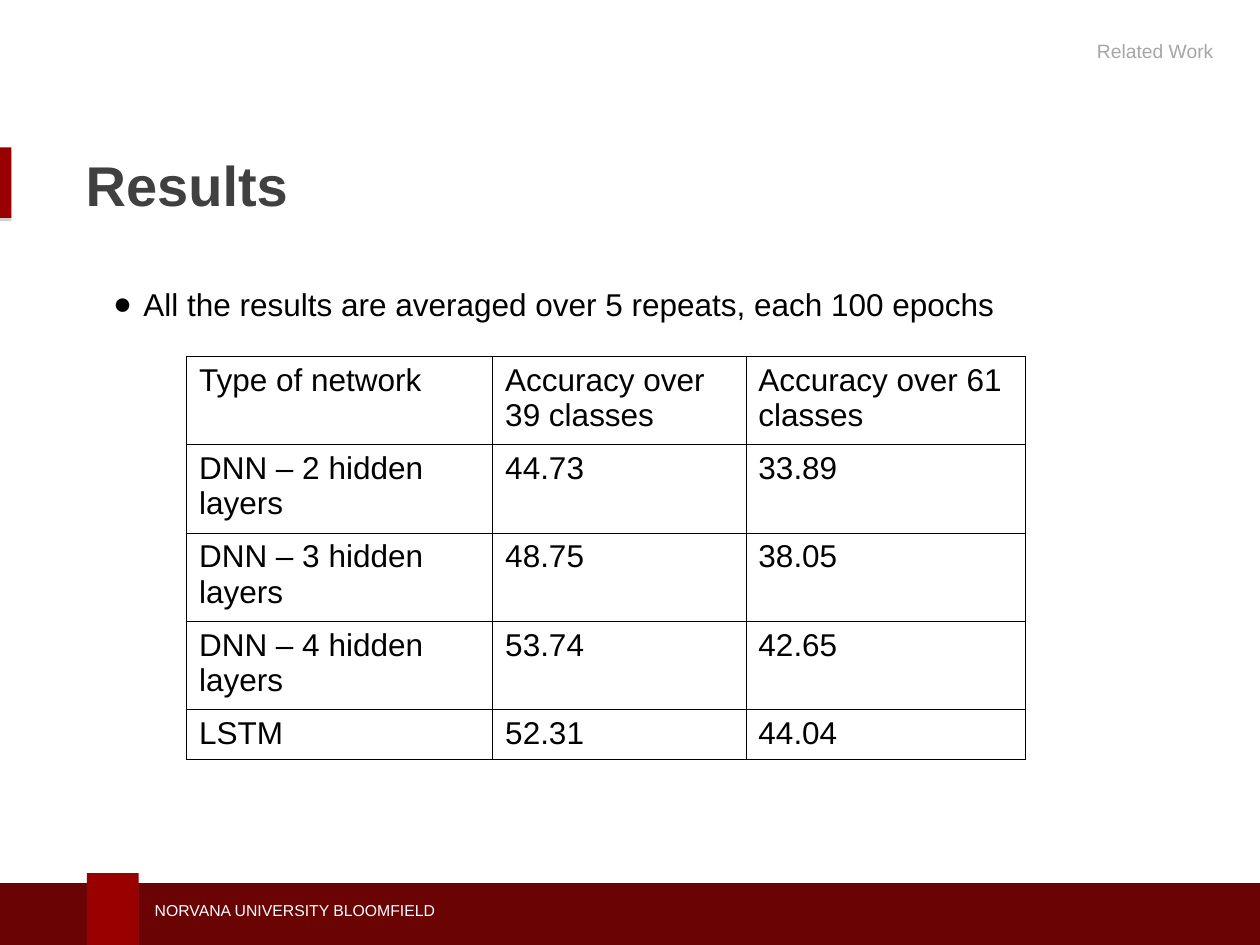
from typing import NamedTuple

from lxml import etree
from pptx import Presentation
from pptx import util as u
from pptx.dml.color import RGBColor
from pptx.enum import shapes, text
from pptx.oxml import parse_xml
from pptx.oxml.ns import nsdecls, qn

RED = RGBColor(0x99, 0x00, 0x00)
MAROON = RGBColor(0x69, 0x03, 0x04)
CHARCOAL = RGBColor(0x40, 0x40, 0x41)
GRAY = RGBColor(0xA6, 0xA6, 0xA6)
BLACK = RGBColor(0, 0, 0)
WHITE = RGBColor(255, 255, 255)
FONT = "Arial"


class Box(NamedTuple):
    left: float
    top: float
    width: float
    height: float

    def inches(self) -> list:
        return [u.Inches(n) for n in self]


class Bar(NamedTuple):
    box: Box
    fill: RGBColor


class Label(NamedTuple):
    words: str
    box: Box
    size: float
    color: RGBColor
    frame: dict = {}
    para: dict = {}
    bold: bool = False


BARS = [
    Bar(Box(0, 1.17, 0.09, 0.56), RED),
    Bar(Box(-0.03, 7.01, 10.08, 0.49), MAROON),
    Bar(Box(0.69, 6.93, 0.41, 0.57), RED),
]
MIDDLE = {"vertical_anchor": text.MSO_ANCHOR.MIDDLE}
TITLE = Label("Results", Box(0.58, 1.11, 8.75, 0.7), 32, CHARCOAL,
              MIDDLE, {"alignment": text.PP_ALIGN.LEFT}, True)
FOOTER = Label("NORVANA UNIVERSITY BLOOMFIELD", Box(1.13, 7.1, 3.94, 0.25),
               9, WHITE, MIDDLE)
SECTION = Label("Related Work", Box(5.68, 0.26, 4.05, 0.37), 11, GRAY,
                para={"alignment": text.PP_ALIGN.RIGHT,
                      "space_after": u.Pt(18)})
NOTE = Label("All the results are averaged over 5 repeats, each 100 epochs",
             Box(0.8, 1.92, 8.03, 4.58), 18, BLACK,
             {"margin_top": u.Inches(0.34)},
             {"alignment": text.PP_ALIGN.JUSTIFY})

GRID = Box(1.48, 2.83, 6.66, 3.2)
COLS = [2.43, 2.01, 2.22]
ROWS = [0.7] * 4 + [0.4]
DATA = [
    ["Type of network", "Accuracy over 39 classes", "Accuracy over 61 classes"],
    ["DNN – 2 hidden layers", "44.73", "33.89"],
    ["DNN – 3 hidden layers", "48.75", "38.05"],
    ["DNN – 4 hidden layers", "53.74", "42.65"],
    ["LSTM", "52.31", "44.04"],
]


def assign(thing, values: dict) -> None:
    for name, value in values.items():
        setattr(thing, name, value)


def style(para, size: float, color: RGBColor, bold: bool = False) -> None:
    for run in para.runs:
        assign(run.font, {"name": FONT, "size": u.Pt(size), "bold": bold})
        run.font.color.rgb = color


def write(shape, label: Label) -> None:
    frame = shape.text_frame
    frame.text = label.words
    assign(frame, {"word_wrap": True, "auto_size": text.MSO_AUTO_SIZE.NONE,
                   "vertical_anchor": text.MSO_ANCHOR.TOP, **label.frame})
    para = frame.paragraphs[0]
    assign(para, label.para)
    style(para, label.size, label.color, label.bold)


def add_label(slide, label: Label):
    shape = slide.shapes.add_textbox(*label.box.inches())
    write(shape, label)
    return shape


def add_bar(slide, bar: Bar) -> None:
    shape = slide.shapes.add_shape(
        shapes.MSO_SHAPE.RECTANGLE, *bar.box.inches())
    shape.fill.solid()
    shape.fill.fore_color.rgb = bar.fill
    shape.line.fill.background()
    shape.shadow.inherit = False
    # Soft gray shadow straight below
    glow = shape._element.spPr.find(qn("a:effectLst"))
    glow.append(parse_xml(
        f'<a:outerShdw {nsdecls("a")} blurRad="0" dist="{u.Pt(1.8)}" '
        'dir="5400000" rotWithShape="0"><a:srgbClr val="808080">'
        '<a:alpha val="35000"/></a:srgbClr></a:outerShdw>'))


def add_bullet(para, indent: float) -> None:
    props = para._p.get_or_add_pPr()
    props.set("marL", str(u.Inches(indent)))
    props.set("indent", str(-u.Inches(indent)))
    color = etree.SubElement(props, qn("a:buClr"))
    etree.SubElement(color, qn("a:srgbClr"), val=str(BLACK))
    etree.SubElement(props, qn("a:buFont"), typeface=FONT)
    etree.SubElement(props, qn("a:buChar"), char="●")


def add_border(cell) -> None:
    props = cell._tc.get_or_add_tcPr()
    for spot, side in enumerate(("lnL", "lnR", "lnT", "lnB")):
        props.insert(spot, parse_xml(
            f'<a:{side} {nsdecls("a")} w="{u.Pt(0.45)}"><a:solidFill>'
            f'<a:srgbClr val="{BLACK}"/></a:solidFill></a:{side}>'))


def add_grid(slide) -> None:
    table = slide.shapes.add_table(
        len(ROWS), len(COLS), *GRID.inches()).table
    assign(table, {"first_row": False, "horz_banding": False})
    for col, width in zip(table.columns, COLS):
        col.width = u.Inches(width)
    for row, height, words in zip(table.rows, ROWS, DATA):
        row.height = u.Inches(height)
        for cell, word in zip(row.cells, words):
            cell.text = word
            cell.fill.background()
            style(cell.text_frame.paragraphs[0], 18, BLACK)
            add_border(cell)


def main() -> None:
    deck = Presentation()
    assign(deck, {"slide_width": u.Inches(10), "slide_height": u.Inches(7.5)})
    slide = deck.slides.add_slide(deck.slide_layouts[5])

    # Accent bars and footer
    for bar in BARS:
        add_bar(slide, bar)
    add_label(slide, FOOTER)

    # Title and section name
    title = slide.shapes.title
    assign(title, dict(zip(("left", "top", "width", "height"),
                           TITLE.box.inches())))
    write(title, TITLE)
    add_label(slide, SECTION)

    # Bullet and results table
    note = add_label(slide, NOTE)
    add_bullet(note.text_frame.paragraphs[0], 0.24)
    add_grid(slide)

    deck.save("out.pptx")


if __name__ == "__main__":
    main()
